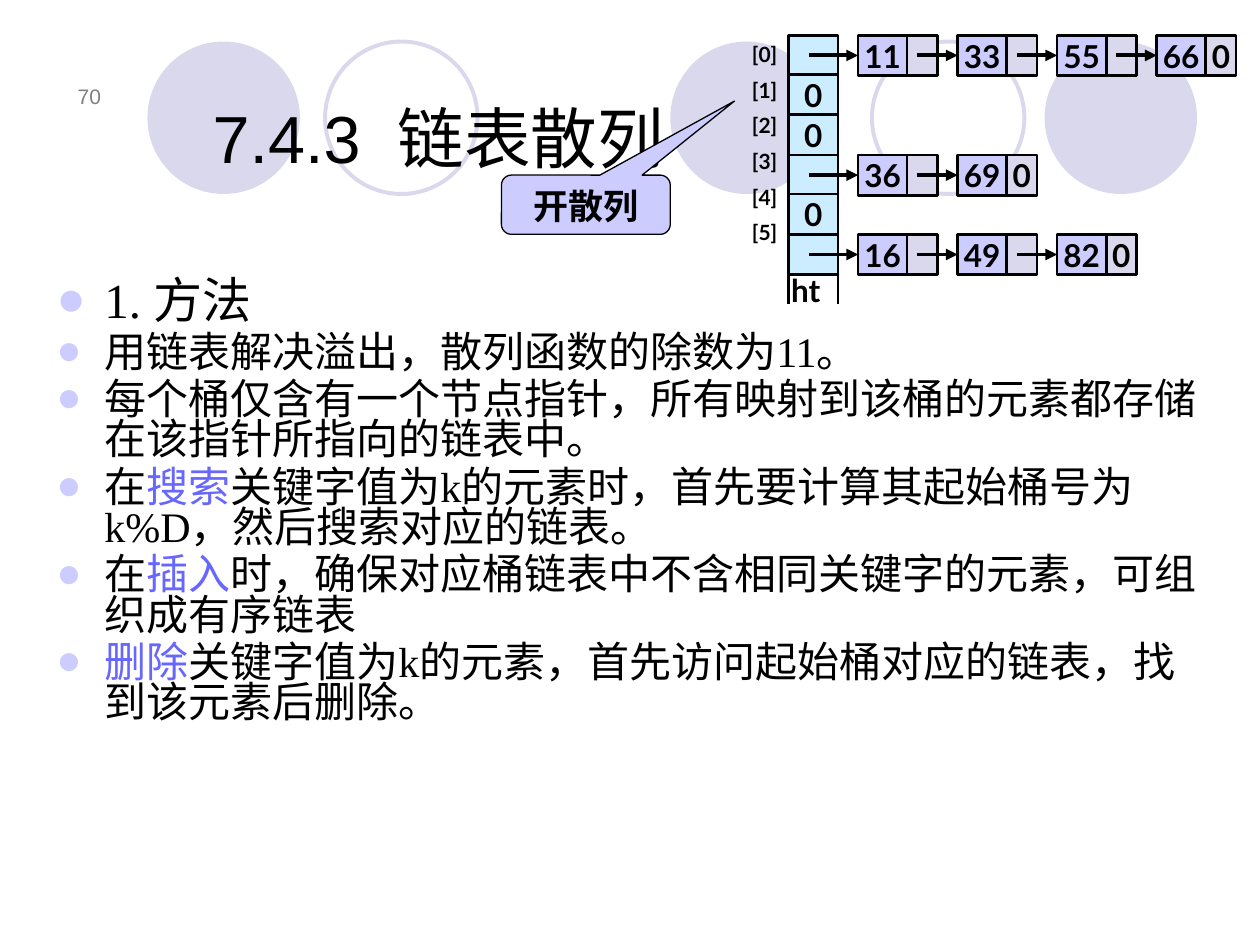
import pptx
import pptx.util
import pptx.dml.color
import pptx.enum.shapes
import pptx.enum.text
import pptx.oxml
import pptx.oxml.ns
from lxml import etree

EMU_PER_PX = 9144  # 100 px to the inch
COLORS = {
    "ink": "000000", "gray": "808080", "accent": "6767FF",
    "lilac": "CCCCFF", "mist": "D9D8EC", "sky": "CCECFF",
}
SHAPE = pptx.enum.shapes.MSO_SHAPE
ALIGN = pptx.enum.text.PP_ALIGN
ANCHOR = pptx.enum.text.MSO_ANCHOR


def px(n):
    return pptx.util.Emu(n * EMU_PER_PX)


def rgb(name):
    return pptx.dml.color.RGBColor.from_string(COLORS[name])


def add_child(parent, tag, **attrs):
    return etree.SubElement(parent, pptx.oxml.ns.qn(tag), attrs)


class Deck:
    def __init__(self, width, height):
        self.prs = pptx.Presentation()
        self.prs.slide_width, self.prs.slide_height = px(width), px(height)
        self.s = self.prs.slides.add_slide(self.prs.slide_layouts[6])

    def paragraph(self, tf, i, runs, size, font, color="ink", bold=False,
                  align=None, before=0, spacing=None, bullet=None):
        """Write paragraph i; runs is a string or a list of (text, colour)."""
        p = tf.paragraphs[0] if i == 0 else tf.add_paragraph()
        p.alignment = align
        if i and before:
            p.space_before = pptx.util.Pt(before)
        if spacing:
            p.line_spacing = spacing
        if bullet:
            pPr = p._p.get_or_add_pPr()
            pPr.set("marL", str(px(38)))
            pPr.set("indent", str(-px(38)))
            add_child(add_child(pPr, "a:buClr"), "a:srgbClr", val=COLORS[bullet])
            add_child(pPr, "a:buFont", typeface="Arial")
            add_child(pPr, "a:buChar", char="●")
        p.font.size, p.font.name, p.font.bold = pptx.util.Pt(size), font, bold
        p.font.color.rgb = rgb(color)
        for text, tint in [(runs, None)] if isinstance(runs, str) else runs:
            r = p.add_run()
            r.text = text
            if tint:
                r.font.color.rgb = rgb(tint)

    def textbox(self, x, y, w, h, anchor=ANCHOR.TOP):
        tf = self.s.shapes.add_textbox(px(x), px(y), px(w), px(h)).text_frame
        tf.word_wrap = True
        tf.vertical_anchor = anchor
        return tf

    def shape(self, kind, x, y, w, h, fill=None, line=None, weight=1.5):
        sp = self.s.shapes.add_shape(kind, px(x), px(y), px(w), px(h))
        sp.shadow.inherit = False
        if fill:
            sp.fill.solid()
            sp.fill.fore_color.rgb = rgb(fill)
        else:
            sp.fill.background()
        if line:
            sp.line.color.rgb = rgb(line)
            sp.line.width = pptx.util.Pt(weight)
        else:
            sp.line.fill.background()
        return sp

    def cell(self, x, y, w, h, fill, text=None):
        sp = self.shape(SHAPE.RECTANGLE, x, y, w, h, fill, "ink")
        if text:
            tf = sp.text_frame
            tf.word_wrap = False
            tf.vertical_anchor = ANCHOR.MIDDLE
            self.paragraph(tf, 0, text, 18, "Lato", bold=True, align=ALIGN.CENTER)
        return sp

    def line(self, x1, y1, x2, y2, weight=1.5):
        c = self.s.shapes.add_connector(
            pptx.enum.shapes.MSO_CONNECTOR.STRAIGHT, px(x1), px(y1), px(x2), px(y2))
        c.line.color.rgb = rgb("ink")
        c.line.width = pptx.util.Pt(weight)
        add_child(c._element.spPr, "a:effectLst")
        return c

    def arrow(self, x, y, target):
        c = self.line(x, y, x + 30, y, 2.25)
        add_child(c.line._get_or_add_ln(), "a:tailEnd", type="triangle")
        c.end_connect(target, 1)


# Hash table: one chain per bucket
CHAINS = [["11", "33", "55", "66"], [], [], ["36", "69"], [], ["16", "49", "82"]]
TABLE_X, NODE_X, TOP = 626, 681, 28
CELL_W, LINK_W, CELL_H, NODE_STEP = 39, 24, 32, 79

BODY = [
    "1. 方法",
    "用链表解决溢出，散列函数的除数为11。",
    "每个桶仅含有一个节点指针，所有映射到该桶的元素都存储在该指针所指向的链表中。",
    [("在", None), ("搜索", "accent"),
     ("关键字值为k的元素时，首先要计算其起始桶号为k%D，然后搜索对应的链表。", None)],
    [("在", None), ("插入", "accent"),
     ("时，确保对应桶链表中不含相同关键字的元素，可组织成有序链表", None)],
    [("删除", "accent"),
     ("关键字值为k的元素，首先访问起始桶对应的链表，找到该元素后删除。", None)],
]


def main():
    d = Deck(1000, 750)

    # Background circles
    for x in (532, 829, 117):
        d.shape(SHAPE.OVAL, x, 33, 121, 121, "mist")
    for x in (692, 258):
        d.shape(SHAPE.OVAL, x, 33, 121, 121, None, "mist", 2.25)

    # Page number and title
    d.paragraph(d.textbox(35, 44, 55, 47, ANCHOR.BOTTOM), 0, "70", 12, "Arial",
                "gray", align=ALIGN.RIGHT)
    d.paragraph(d.textbox(159, 70, 387, 75, ANCHOR.BOTTOM), 0, "7.4.3  链表散列",
                38, "Arial")

    # Body text
    tf = d.textbox(35, 218, 937, 512)
    for i, runs in enumerate(BODY):
        d.paragraph(tf, i, runs, 24 if i else 28, "Times New Roman", before=4,
                    spacing=0.8, bullet="lilac")

    # Buckets and the open-ended sides of the table
    row_tops = [TOP + i * 95 // 3 for i in range(len(CHAINS))]
    for y, chain in zip(row_tops, CHAINS):
        d.cell(TABLE_X, y, CELL_W, CELL_H, "sky", None if chain else "0")
    for x in (TABLE_X, TABLE_X + CELL_W):
        d.line(x, TOP, x, 241)

    # Chain nodes, each reached by an arrow from the link before it
    for y, chain in zip(row_tops, CHAINS):
        tail_x = TABLE_X + 16
        for i, key in enumerate(chain):
            x = NODE_X + i * NODE_STEP
            node = d.cell(x, y, CELL_W, CELL_H, "lilac", key)
            d.cell(x + CELL_W, y, LINK_W, CELL_H, "mist",
                   "0" if key == chain[-1] else None)
            d.arrow(tail_x, y + CELL_H // 2, node)
            tail_x = x + CELL_W + 8

    # Bucket indexes and table name
    tf = d.textbox(587, 28, 47, 180)
    for i in range(len(CHAINS)):
        d.paragraph(tf, i, f"[{i}]", 12, "Lato", bold=True, before=6)
    d.paragraph(d.textbox(618, 210, 55, 40), 0, "ht", 18, "Lato", bold=True)

    # Callout
    sp = d.shape(SHAPE.ROUNDED_RECTANGULAR_CALLOUT, 398, 139, 134, 47,
                 "lilac", "ink", 0.75)
    for i, value in enumerate((0.88, -1.75, 0.17)):
        sp.adjustments[i] = value
    sp.text_frame.vertical_anchor = ANCHOR.TOP
    d.paragraph(sp.text_frame, 0, "开散列", 20, "Lato", bold=True, align=ALIGN.CENTER)

    d.prs.save("out.pptx")


if __name__ == "__main__":
    main()
